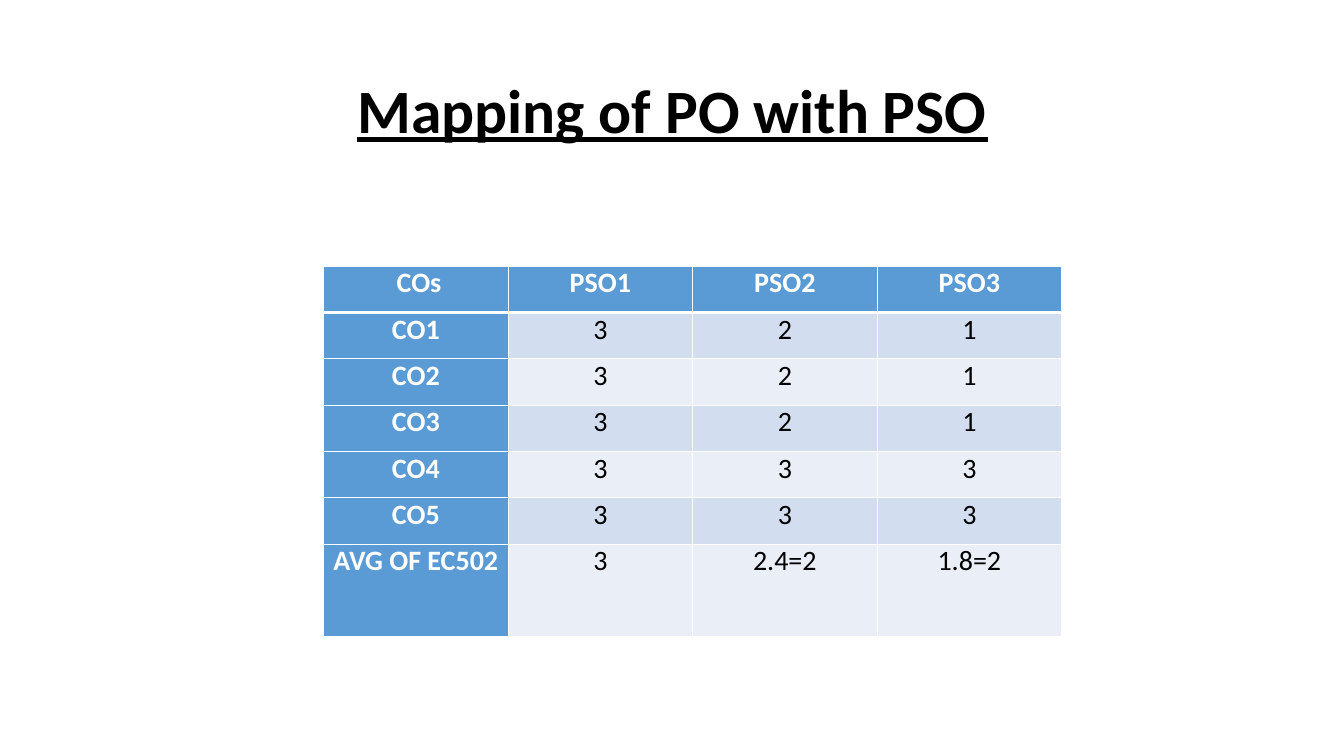
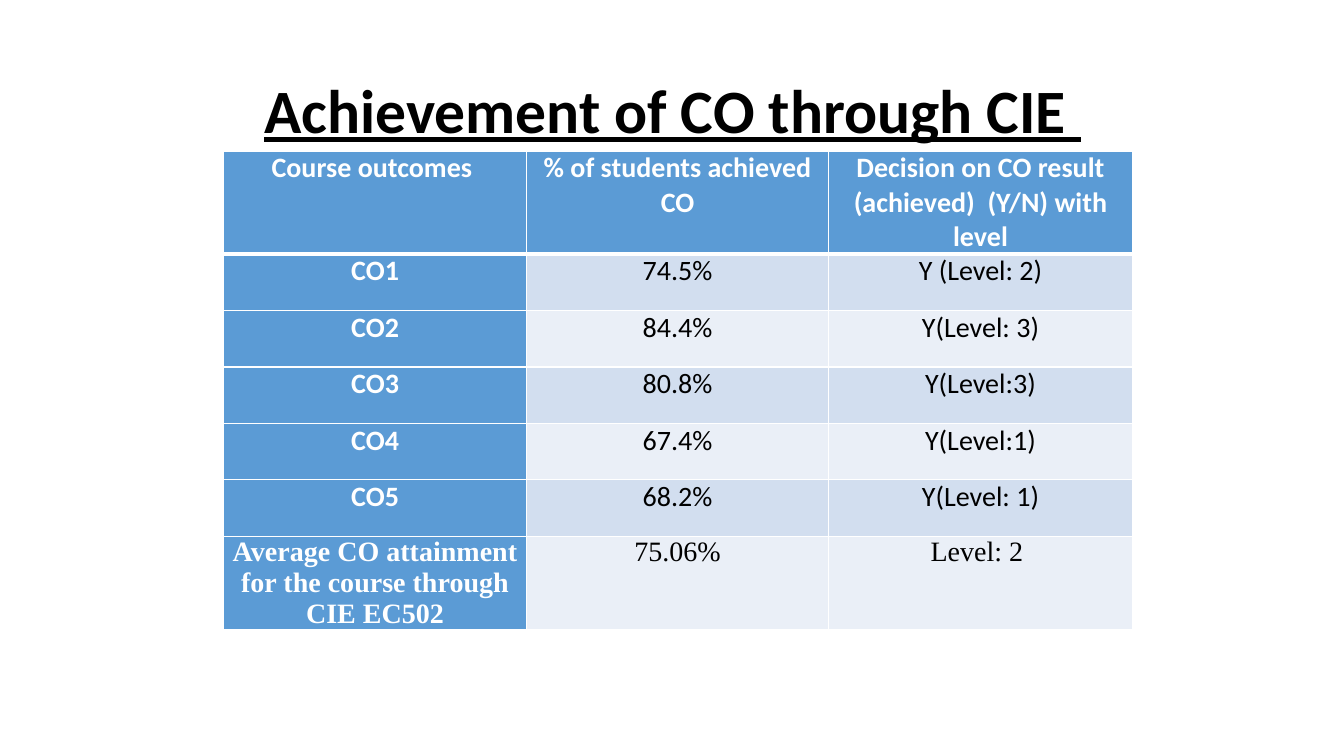
import pptx
import pptx.dml.color
import pptx.enum.text
import pptx.oxml
import pptx.oxml.ns
import pptx.util

Inches = pptx.util.Inches
Pt = pptx.util.Pt

BLUE, WHITE, BLACK = "5B9BD5", "FFFFFF", "000000"
BANDS = ("D2DEEF", "EAEFF7")
BODY_FONT = "Calibri"
TITLE_BOX = (0.92, 0.4, 11.5, 1.45)

SLIDES = [
    {
        "title": "Mapping of PO with PSO",
        "at": (3.21, 2.64),
        "columns": [1.83] * 4,
        "heights": [0.46] * 6 + [0.92],
        "last_font": BODY_FONT,
        "rows": [
            (" COs", "PSO1", "PSO2", "PSO3"),
            ("CO1", "3", "2", "1"),
            ("CO2", "3", "2", "1"),
            ("CO3", "3", "2", "1"),
            ("CO4", "3", "3", "3"),
            ("CO5", "3", "3", "3"),
            ("AVG OF EC502", "3", "2.4=2", "1.8=2"),
        ],
    },
    {
        "title": "Achievement of CO through CIE ",
        "at": (2.22, 1.5),
        "columns": [3, 3, 3.01],
        "heights": [1.02] + [0.56] * 5 + [0.92],
        "last_font": "Times New Roman",
        "rows": [
            ("Course outcomes ", "% of students achieved CO",
             "Decision on CO result (achieved)  (Y/N) with level"),
            ("CO1", "74.5%", "Y (Level: 2)"),
            ("CO2", "84.4%", "Y(Level: 3)"),
            ("CO3", "80.8%", "Y(Level:3)"),
            ("CO4", "67.4%", "Y(Level:1)"),
            ("CO5", "68.2%", "Y(Level: 1)"),
            ("Average CO attainment for the course through CIE EC502",
             "75.06%", "Level: 2 "),
        ],
    },
]


def color(value):
    return pptx.dml.color.RGBColor.from_string(value)


def style_paragraph(para, font, size, ink, bold):
    para.alignment = pptx.enum.text.PP_ALIGN.CENTER
    para.font.name = font
    para.font.size = Pt(size)
    para.font.bold = bold
    para.font.color.rgb = color(ink)


def add_borders(cell, top, bottom):
    properties = cell._tc.get_or_add_tcPr()
    for side, points in (("L", 1), ("R", 1), ("T", top), ("B", bottom)):
        properties.append(pptx.oxml.parse_xml(
            f'<a:ln{side} {pptx.oxml.ns.nsdecls("a")} w="{Pt(points)}">'
            f'<a:solidFill><a:srgbClr val="{WHITE}"/></a:solidFill></a:ln{side}>'))


def add_title(page, text):
    title = page.shapes.title
    title.left, title.top, title.width, title.height = map(Inches, TITLE_BOX)
    frame = title.text_frame
    frame.text = text
    frame.word_wrap = True
    frame.vertical_anchor = pptx.enum.text.MSO_ANCHOR.MIDDLE
    para = frame.paragraphs[0]
    para.line_spacing = 0.9
    style_paragraph(para, BODY_FONT, 44, BLACK, True)
    para.font.underline = True


def fill_cell(cell, text, row, column, font):
    heading = row == 0 or column == 0
    cell.text = text
    cell.margin_left = cell.margin_right = Inches(0.07)
    cell.margin_top = cell.margin_bottom = 0
    add_borders(cell, 3 if row == 1 else 1, 3 if row == 0 else 1)
    cell.fill.solid()
    cell.fill.fore_color.rgb = color(BLUE if heading else BANDS[(row - 1) % 2])
    style_paragraph(cell.text_frame.paragraphs[0], font, 20,
                    WHITE if heading else BLACK, heading)


def add_grid(page, content):
    rows, columns, heights = content["rows"], content["columns"], content["heights"]
    left, top = content["at"]
    table = page.shapes.add_table(
        len(rows), len(columns), Inches(left), Inches(top),
        Inches(sum(columns)), Inches(sum(heights))).table
    table.first_col = True
    for column, width in zip(table.columns, columns):
        column.width = Inches(width)
    for row, height in zip(table.rows, heights):
        row.height = Inches(height)
    for row, texts in enumerate(rows):
        font = content["last_font"] if row == len(rows) - 1 else BODY_FONT
        for column, text in enumerate(texts):
            fill_cell(table.cell(row, column), text, row, column, font)


def main():
    deck = pptx.Presentation()
    deck.slide_width, deck.slide_height = Inches(13.33), Inches(7.5)
    title_only = deck.slide_layouts.get_by_name("Title Only")
    for content in SLIDES:
        page = deck.slides.add_slide(title_only)
        add_title(page, content["title"])
        add_grid(page, content)
    deck.save("out.pptx")


if __name__ == "__main__":
    main()
